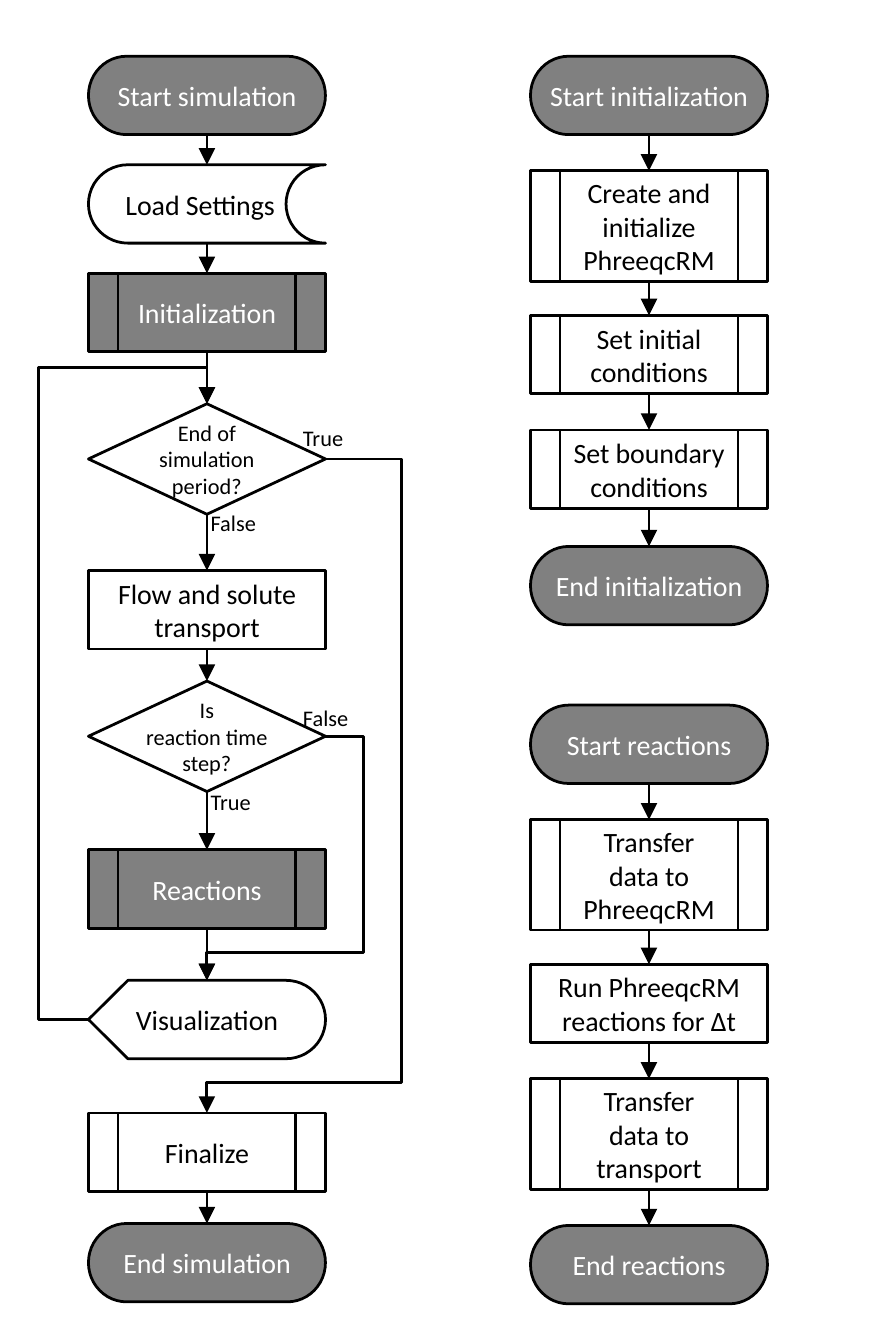
from itertools import pairwise

from lxml import etree
from pptx import Presentation
from pptx.dml.color import RGBColor
from pptx.enum.shapes import MSO_CONNECTOR, MSO_SHAPE
from pptx.enum.text import MSO_ANCHOR, PP_ALIGN
from pptx.oxml.ns import qn
from pptx.util import Inches, Pt

TERMINATOR = MSO_SHAPE.FLOWCHART_TERMINATOR
SUBROUTINE = MSO_SHAPE.FLOWCHART_PREDEFINED_PROCESS
PROCESS = MSO_SHAPE.FLOWCHART_PROCESS
DECISION = MSO_SHAPE.FLOWCHART_DECISION
STORAGE = MSO_SHAPE.FLOWCHART_STORED_DATA
DISPLAY = MSO_SHAPE.FLOWCHART_DISPLAY
STRAIGHT, ELBOW = MSO_CONNECTOR.STRAIGHT, MSO_CONNECTOR.ELBOW
MIDDLE = MSO_ANCHOR.MIDDLE
ALIGN_LEFT, ALIGN_CENTER = PP_ALIGN.LEFT, PP_ALIGN.CENTER

BLACK = RGBColor(0x00, 0x00, 0x00)
WHITE = RGBColor(0xFF, 0xFF, 0xFF)
GRAY = RGBColor(0x80, 0x80, 0x80)

STEP_WIDTH, LOW, TALL = 1.18, 0.39, 0.55
TOP, LEFT, BOTTOM, RIGHT = range(4)  # connection sites of a step

# Each step: kind, top, height, fill, text
SIMULATION = [
    (TERMINATOR, 0.28, LOW, GRAY, "Start simulation"),
    (STORAGE, 0.82, LOW, WHITE, "Load Settings"),
    (SUBROUTINE, 1.36, LOW, GRAY, "Initialization"),
    (DECISION, 2.01, TALL, WHITE, "End of\nsimulation\nperiod?"),
    (PROCESS, 2.84, LOW, WHITE, "Flow and solute\ntransport"),
    (DECISION, 3.39, TALL, WHITE, "Is\nreaction time\nstep?"),
    (SUBROUTINE, 4.23, LOW, GRAY, "Reactions"),
    (DISPLAY, 4.88, LOW, WHITE, "Visualization"),
    (SUBROUTINE, 5.54, LOW, WHITE, "Finalize"),
    (TERMINATOR, 6.09, LOW, GRAY, "End simulation"),
]
INITIALIZATION = [
    (TERMINATOR, 0.28, LOW, GRAY, "Start initialization"),
    (SUBROUTINE, 0.85, TALL, WHITE, "Create and\ninitialize\nPhreeqcRM"),
    (SUBROUTINE, 1.57, LOW, WHITE, "Set initial\nconditions"),
    (SUBROUTINE, 2.14, LOW, WHITE, "Set boundary\nconditions"),
    (TERMINATOR, 2.72, LOW, GRAY, "End initialization"),
]
REACTIONS = [
    (TERMINATOR, 3.51, LOW, GRAY, "Start reactions"),
    (SUBROUTINE, 4.08, TALL, WHITE, "Transfer\ndata to\nPhreeqcRM"),
    (PROCESS, 4.8, LOW, WHITE, "Run PhreeqcRM\nreactions for ∆t"),
    (SUBROUTINE, 5.37, TALL, WHITE, "Transfer\ndata to\ntransport"),
    (TERMINATOR, 6.1, LOW, GRAY, "End reactions"),
]
# Each chart: left edge, steps, steps that no straight arrow leaves
CHARTS = [
    (0.44, SIMULATION, {"Visualization"}),
    (2.64, INITIALIZATION, set()),
    (2.64, REACTIONS, set()),
]
# Each branch: from step, side, to step, x of the long leg, y of the return leg
BRANCHES = [
    ("End of\nsimulation\nperiod?", RIGHT, "Finalize", 2.0, 5.39),
    ("Is\nreaction time\nstep?", RIGHT, "Visualization", 1.81, 4.74),
    ("Visualization", LEFT, "End of\nsimulation\nperiod?", 0.19, 1.83),
]
ANSWERS = [("True", 1.41, 2.06), ("False", 0.95, 2.48),
           ("False", 1.41, 3.45), ("True", 0.95, 3.87)]


def set_text(shape, text, size, color, alignment):
    frame = shape.text_frame
    frame.text = text
    frame.word_wrap = False
    frame.vertical_anchor = MIDDLE
    for paragraph in frame.paragraphs:
        paragraph.alignment = alignment
        paragraph.font.name = "Calibri"
        paragraph.font.size = Pt(size)
        paragraph.font.color.rgb = color
    return frame


def add_step(shapes, left, kind, top, height, fill, text):
    step = shapes.add_shape(kind, Inches(left), Inches(top),
                            Inches(STEP_WIDTH), Inches(height))
    step.shadow.inherit = False
    step.fill.solid()
    step.fill.fore_color.rgb = fill
    step.line.color.rgb = BLACK
    step.line.width = Pt(1)
    frame = set_text(step, text, 8 if kind == DECISION else 10,
                     WHITE if fill == GRAY else BLACK, ALIGN_CENTER)
    frame.margin_left = frame.margin_top = Inches(0.03)
    frame.margin_right = frame.margin_bottom = Inches(0.03)
    if kind == STORAGE:
        frame.margin_right = Inches(0.1)  # clear of the concave side
    return step


def add_answer(shapes, answer, left, top):
    label = shapes.add_textbox(Inches(left), Inches(top), Inches(0.5), Inches(0.24))
    frame = set_text(label, answer, 8, BLACK, ALIGN_LEFT)
    frame.word_wrap = True  # keeps the text at the left edge of the box
    frame.margin_right = 0


def add_arrow(shapes, kind, source, side, target):
    arrow = shapes.add_connector(kind, 0, 0, 0, 0)
    arrow.begin_connect(source, side)
    arrow.end_connect(target, TOP)
    arrow.line.color.rgb = BLACK
    arrow.line.width = Pt(1)
    etree.SubElement(arrow.line._get_or_add_ln(), qn("a:tailEnd"), type="triangle")
    etree.SubElement(arrow._element.spPr, qn("a:effectLst"))
    return arrow


def bend(arrow, leg_x, leg_y):
    """Route an elbow arrow along a vertical leg at leg_x, back at leg_y."""
    across = (Inches(leg_x) - arrow.begin_x) / (arrow.end_x - arrow.begin_x)
    down = (Inches(leg_y) - arrow.begin_y) / (arrow.end_y - arrow.begin_y)
    geometry = arrow._element.spPr.find(qn("a:prstGeom"))
    geometry.set("prst", "bentConnector4")
    adjustments = geometry.find(qn("a:avLst"))
    for name, share in (("adj1", across), ("adj2", down)):
        etree.SubElement(adjustments, qn("a:gd"), name=name,
                         fmla=f"val {round(share * 100000)}")


def main():
    presentation = Presentation()
    presentation.slide_width = Inches(4.33)
    presentation.slide_height = Inches(6.69)
    shapes = presentation.slides.add_slide(presentation.slide_layouts[6]).shapes

    steps = {}
    for left, chart, dead_ends in CHARTS:
        for step in chart:
            steps[step[-1]] = add_step(shapes, left, *step)
        for (*_, source), (*_, target) in pairwise(chart):
            if source not in dead_ends:
                add_arrow(shapes, STRAIGHT, steps[source], BOTTOM, steps[target])

    for source, side, target, leg_x, leg_y in BRANCHES:
        arrow = add_arrow(shapes, ELBOW, steps[source], side, steps[target])
        bend(arrow, leg_x, leg_y)

    for answer, left, top in ANSWERS:
        add_answer(shapes, answer, left, top)

    presentation.save("out.pptx")


if __name__ == "__main__":
    main()
